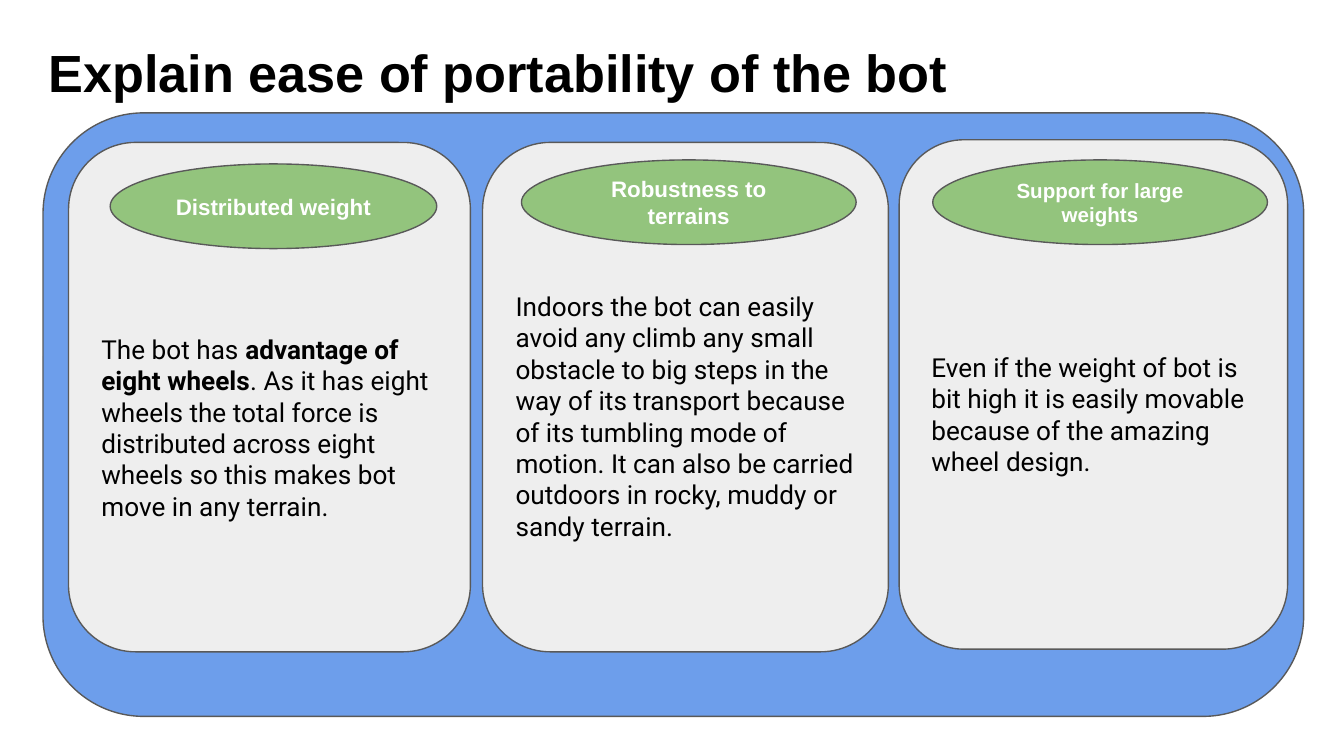
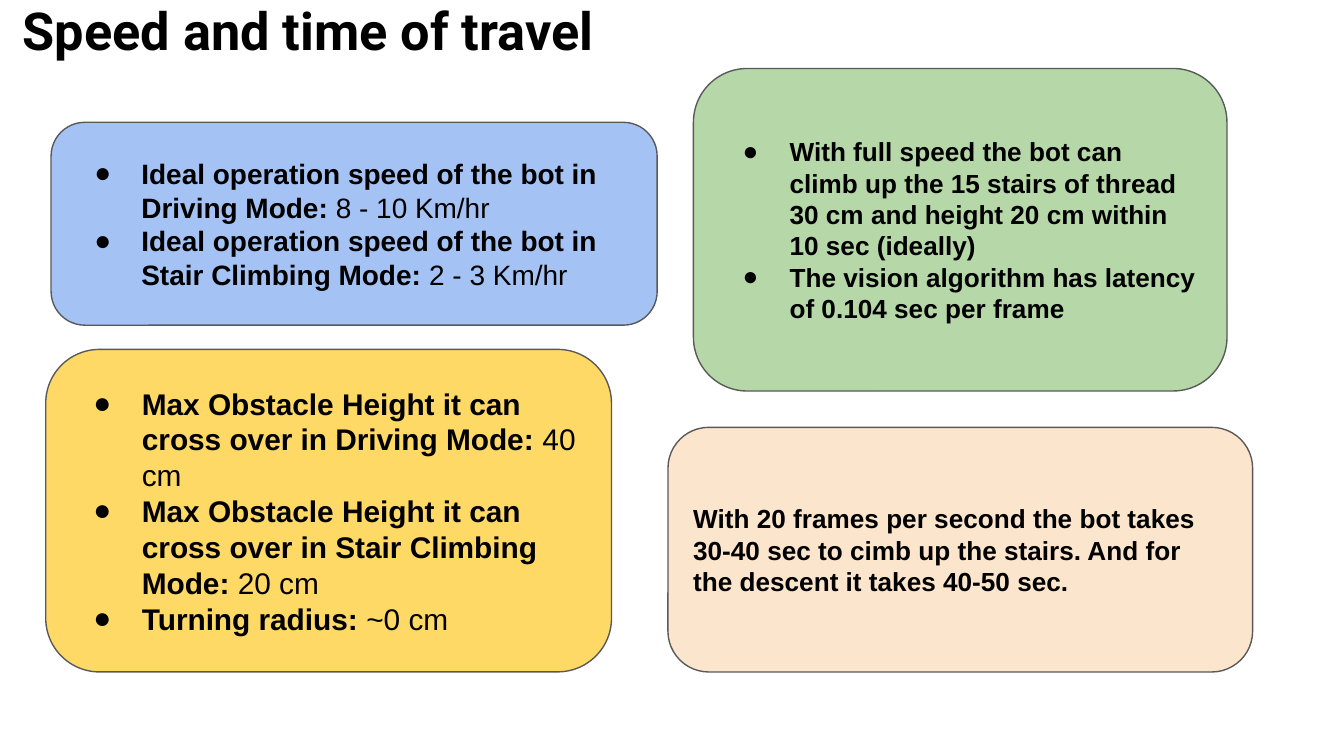
import pptx
import pptx.dml.color
import pptx.enum.shapes
import pptx.enum.text
import pptx.oxml
import pptx.oxml.ns
import pptx.util
from pptx.util import Inches

SHAPE = pptx.enum.shapes.MSO_SHAPE
ALIGN = pptx.enum.text.PP_ALIGN
ANCHOR = pptx.enum.text.MSO_ANCHOR
OUTLINE, BLACK, WHITE = "595959", "000000", "FFFFFF"
BLUE, GREY, GREEN = "6D9EEB", "EEEEEE", "93C47D"
PALE_BLUE, PALE_GREEN, YELLOW, PEACH = "A4C2F4", "B6D7A8", "FFD966", "FCE5CD"

PORTABILITY_CARDS = [
    ((0.51, 1.06, 2.99, 3.79), (0.31, 0.16, 2.43, 0.63), "Distributed weight", 12, 0.55,
     [("The bot has ", False), ("advantage of eight wheels", True),
      (". As it has eight wheels the total force is distributed across eight "
       "wheels so this makes bot move in any terrain.", False)]),
    ((3.59, 1.06, 3.02, 3.79), (0.29, 0.13, 2.49, 0.63), "Robustness to terrains", 12, 0.38,
     [("Indoors the bot can easily avoid any climb any small obstacle to big steps in "
       "the way of its transport because of its tumbling mode of motion. It can also be "
       "carried outdoors in rocky, muddy or sandy terrain.", False)]),
    ((6.69, 1.04, 2.89, 3.79), (0.25, 0.15, 2.49, 0.63), "Support for large weights", 11, 0.39,
     [("Even if the weight of bot is bit high it is easily movable because of the "
       "amazing wheel design.", False)]),
]

SPEED_PANELS = [
    ((0.38, 0.91, 4.51, 1.51), PALE_BLUE, 15, 0.35, [
        [("Ideal operation speed of the bot in Driving Mode:", True), (" 8 - 10 Km/hr", False)],
        [("Ideal operation speed of the bot in Stair Climbing Mode:", True),
         (" 2 - 3 Km/hr", False)]]),
    ((5.16, 0.51, 3.97, 2.4), PALE_GREEN, 14, 0.35, [
        [("With full speed the bot can climb up the 15 stairs of thread 30 cm and "
          "height 20 cm within 10 sec (ideally)", True)],
        [("The vision algorithm has latency of 0.104 sec per frame", True)]]),
    ((0.34, 2.6, 4.21, 2.4), YELLOW, 16, 0.36, [
        [("Max Obstacle Height it can cross over in Driving Mode:", True), (" 40 cm", False)],
        [("Max Obstacle Height it can cross over in Stair Climbing Mode:", True),
         (" 20 cm", False)],
        [("Turning radius: ", True), ("~0 cm", False)]]),
    ((4.97, 3.18, 4.35, 1.82), PEACH, 14, None, [
        [("With 20 frames per second the bot takes 30-40 sec to cimb up the stairs. "
          "And for the descent it takes 40-50 sec.", True)]]),
]


def rgb(value):
    """Turn a hex string into a colour."""
    return pptx.dml.color.RGBColor.from_string(value)


def add_bullet(paragraph, hanging):
    """Give a paragraph a round black bullet with a hanging indent."""
    properties = paragraph._p.get_or_add_pPr()
    properties.set("marL", str(Inches(0.5)))
    properties.set("indent", str(-Inches(hanging)))
    namespace = pptx.oxml.ns.nsdecls("a")
    for element in (f'<a:buClr {namespace}><a:srgbClr val="{BLACK}"/></a:buClr>',
                    f'<a:buFont {namespace} typeface="Arial"/>',
                    f'<a:buChar {namespace} char="●"/>'):
        properties.append(pptx.oxml.parse_xml(element))


def write(shape, paragraphs, size, font="Arial", color=BLACK, align=ALIGN.LEFT,
          anchor=ANCHOR.MIDDLE, top_inset=0.1, hanging=None, line_spacing=1.0):
    """Fill a shape with paragraphs made of (text, bold) runs."""
    frame = shape.text_frame
    frame.word_wrap = True
    frame.auto_size = pptx.enum.text.MSO_AUTO_SIZE.NONE
    frame.vertical_anchor = anchor
    frame.margin_left = frame.margin_right = frame.margin_bottom = Inches(0.1)
    frame.margin_top = Inches(top_inset)
    for index, runs in enumerate(paragraphs):
        paragraph = frame.add_paragraph() if index else frame.paragraphs[0]
        paragraph.alignment = align
        paragraph.line_spacing = line_spacing
        if hanging:
            add_bullet(paragraph, hanging)
        for text, bold in runs:
            run = paragraph.add_run()
            run.text = text
            run.font.name = font
            run.font.size = pptx.util.Pt(size)
            run.font.bold = bold
            run.font.color.rgb = rgb(color)


def add_outlined(slide, kind, box, fill):
    """Add a filled shape with the shared thin outline."""
    shape = slide.shapes.add_shape(kind, *map(Inches, box))
    shape.shadow.inherit = False
    shape.fill.solid()
    shape.fill.fore_color.rgb = rgb(fill)
    shape.line.color.rgb = rgb(OUTLINE)
    shape.line.width = pptx.util.Pt(0.75)
    return shape


def add_titled_slide(deck, heading, left, top, **text_format):
    """Add a title-only slide with its heading placed and formatted."""
    slide = deck.slides.add_slide(deck.slide_layouts[5])
    title = slide.shapes.title
    title.left, title.top = Inches(left), Inches(top)
    title.width, title.height = Inches(9.32), Inches(0.63)
    write(title, [[(heading, True)]], 28, anchor=ANCHOR.TOP, **text_format)
    return slide


def add_card(slide, box, badge_box, label, label_size, top_inset, body):
    """Add a grey card with its body text and a green label offset from its corner."""
    card = add_outlined(slide, SHAPE.ROUNDED_RECTANGLE, box, GREY)
    write(card, [body], 14, font="Roboto", top_inset=top_inset)
    left, top, width, height = badge_box
    badge = add_outlined(slide, SHAPE.OVAL, (box[0] + left, box[1] + top, width, height), GREEN)
    write(badge, [[(label, True)]], label_size, color=WHITE, align=ALIGN.CENTER)


def build_portability(deck):
    """Build the slide with three cards on a blue panel."""
    slide = add_titled_slide(deck, "Explain ease of portability of the bot", 0.26, 0.13,
                             line_spacing=1.15)
    add_outlined(slide, SHAPE.ROUNDED_RECTANGLE, (0.32, 0.84, 9.38, 4.49), BLUE)
    for card in PORTABILITY_CARDS:
        add_card(slide, *card)


def build_speed(deck):
    """Build the slide with four coloured fact panels."""
    slide = add_titled_slide(deck, "Speed and time of travel", 0.07, -0.11, font="Roboto")
    for box, fill, size, hanging, facts in SPEED_PANELS:
        panel = add_outlined(slide, SHAPE.ROUNDED_RECTANGLE, box, fill)
        write(panel, facts, size, hanging=hanging)


def main():
    """Build and save the deck."""
    deck = pptx.Presentation()
    deck.slide_width = Inches(10)
    deck.slide_height = deck.slide_width * 9 // 16
    build_portability(deck)
    build_speed(deck)
    deck.save("out.pptx")


if __name__ == "__main__":
    main()
